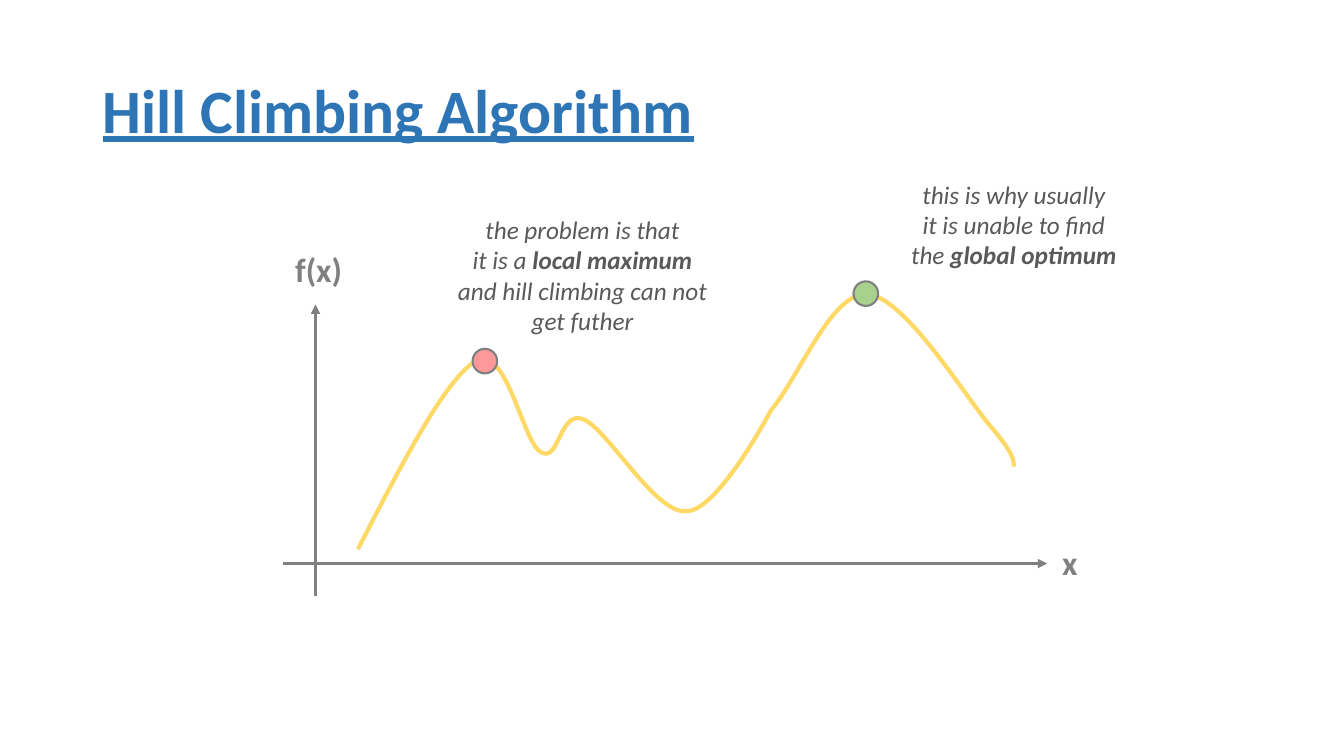
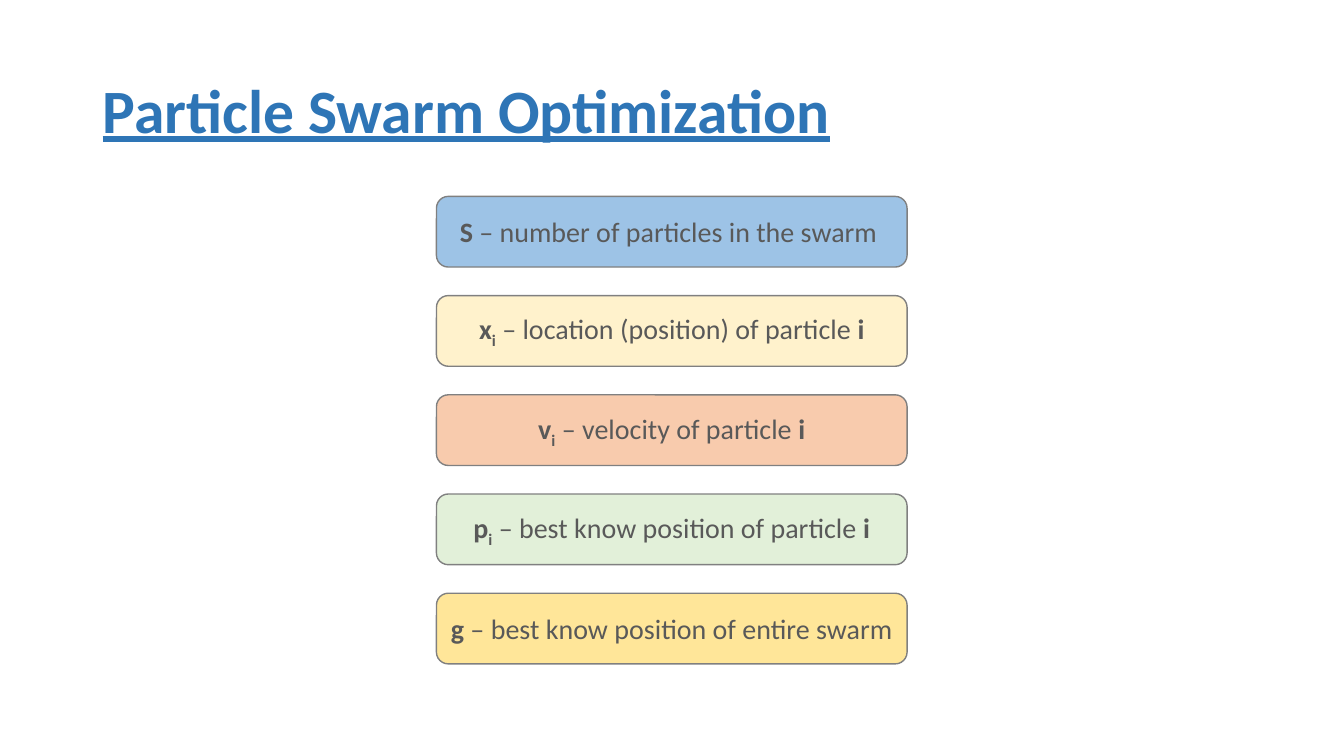
from lxml import etree
from pptx import Presentation
from pptx.dml.color import RGBColor
from pptx.enum import shapes, text
from pptx.oxml import ns
from pptx.util import Cm, Pt

BLUE, GREY, DARK, GOLD = "2E75B6", "808080", "595959", "FFD966"


def rgb(value):
    return RGBColor.from_string(value)


class Deck:
    """Holds the shared style and the slide being drawn."""

    font = "Calibri"

    def __init__(self):
        self.prs = Presentation()
        self.prs.slide_width, self.prs.slide_height = Cm(33.87), Cm(19.05)
        self.s = None

    def slide(self, title):
        self.s = self.prs.slides.add_slide(self.prs.slide_layouts[5])
        sp = self.s.shapes.title
        sp.left, sp.top, sp.width, sp.height = Cm(2.33), Cm(1.01), Cm(29.21), Cm(3.68)
        tf = sp.text_frame
        tf.auto_size = text.MSO_AUTO_SIZE.NONE
        tf.vertical_anchor = text.MSO_ANCHOR.MIDDLE
        tf.text = title
        p = tf.paragraphs[0]
        p.alignment, p.line_spacing = text.PP_ALIGN.LEFT, 0.9
        r = p.runs[0]
        self.style(r, 44, BLUE, bold=True)
        r.font.underline = True

    def style(self, r, size, color, bold=False, italic=False):
        font = r.font
        font.name, font.size, font.bold, font.italic = self.font, Pt(size), bold, italic
        font.color.rgb = rgb(color)

    def add_runs(self, p, marked, size, color, align, italic=False):
        """Fill a paragraph, with *bold* and ~subscript~ marks."""
        p.alignment = align
        for i, part in enumerate(marked.split("*")):
            for j, piece in enumerate(part.split("~")):
                if piece:
                    r = p.add_run()
                    r.text = piece
                    self.style(r, size, color, i % 2 == 1, italic)
                    if j % 2:
                        r.font._element.set("baseline", "-25000")

    def label(self, x, y, w, h, lines, size, color, align=text.PP_ALIGN.LEFT, italic=False):
        tf = self.s.shapes.add_textbox(Cm(x), Cm(y), Cm(w), Cm(h)).text_frame
        tf.word_wrap = False
        tf.auto_size = text.MSO_AUTO_SIZE.SHAPE_TO_FIT_TEXT
        for i, line in enumerate(lines):
            p = tf.add_paragraph() if i else tf.paragraphs[0]
            self.add_runs(p, line, size, color, align, italic)

    def note(self, x, y, w, h, *lines):
        self.label(x, y, w, h, lines, 18, DARK, text.PP_ALIGN.CENTER, italic=True)

    def shape(self, kind, x, y, w, h, fill, line_width):
        sp = self.s.shapes.add_shape(kind, Cm(x), Cm(y), Cm(w), Cm(h))
        sp.shadow.inherit = False
        sp.fill.solid()
        sp.fill.fore_color.rgb = rgb(fill)
        sp.line.color.rgb, sp.line.width = rgb(GREY), Pt(line_width)
        return sp

    def dot(self, cx, cy, fill, d=0.62):
        self.shape(shapes.MSO_SHAPE.OVAL, cx - d / 2, cy - d / 2, d, d, fill, 1.5)

    def card(self, x, y, w, h, fill, marked):
        sp = self.shape(shapes.MSO_SHAPE.ROUNDED_RECTANGLE, x, y, w, h, fill, 1)
        tf = sp.text_frame
        tf.word_wrap = True
        tf.vertical_anchor = text.MSO_ANCHOR.MIDDLE
        self.add_runs(tf.paragraphs[0], marked, 20, DARK, text.PP_ALIGN.CENTER)

    def arrow(self, x1, y1, x2, y2):
        ends = [Cm(v) for v in (x1, y1, x2, y2)]
        sp = self.s.shapes.add_connector(shapes.MSO_CONNECTOR.STRAIGHT, *ends)
        sp.line.color.rgb, sp.line.width = rgb(GREY), Pt(2.25)
        ln = sp._element.spPr.find(ns.qn("a:ln"))
        etree.SubElement(ln, ns.qn("a:tailEnd"), type="triangle")
        etree.SubElement(sp._element.spPr, ns.qn("a:effectLst"))

    def curve(self, points, color):
        """Draw cubic curves: a start point, then three points for each piece."""
        start, *rest = [(Cm(x), Cm(y)) for x, y in points]
        builder = self.s.shapes.build_freeform(*start)
        builder.add_line_segments(rest, close=False)
        sp = builder.convert_to_shape()
        sp.shadow.inherit = False
        sp.fill.background()
        sp.line.color.rgb, sp.line.width = rgb(color), Pt(3)
        outline = next(sp._element.iter(ns.qn("a:path")))
        steps = outline.findall(ns.qn("a:lnTo"))
        for i in range(0, len(steps), 3):
            bezier = etree.SubElement(outline, ns.qn("a:cubicBezTo"))
            for step in steps[i:i + 3]:
                bezier.append(step[0])
                outline.remove(step)


HILLS = [
    (9.02, 13.84),
    (10.13, 11.68), (11.25, 9.5), (12.01, 9.09),
    (12.78, 8.69), (13.18, 11.18), (13.64, 11.4),
    (14.1, 11.66), (14.1, 10.31), (14.71, 10.57),
    (15.32, 10.82), (16.54, 13), (17.32, 12.88),
    (18.11, 12.85), (19.43, 10.34), (19.43, 10.34),
    (20.19, 9.42), (20.96, 7.34), (21.87, 7.42),
    (22.78, 7.47), (24.31, 9.96), (24.92, 10.69),
    (25.53, 11.4), (25.55, 11.58), (25.55, 11.76),
]
SYMBOLS = [
    ("9DC3E6", "*S* – number of particles in the swarm "),
    ("FFF2CC", "*x~i~* – location (position) of particle *i*"),
    ("F8CBAD", "*v~i~* – velocity of particle *i*"),
    ("E2F0D9", "*p~i~* – best know position of particle *i*"),
    ("FFE699", "*g* – best know position of entire swarm"),
]


def main():
    deck = Deck()

    deck.slide("Hill Climbing Algorithm")
    deck.arrow(7.95, 15.02, 7.95, 7.67)
    deck.arrow(7.12, 14.2, 26.39, 14.2)
    deck.curve(HILLS, GOLD)
    deck.label(7.19, 6.15, 1.7, 1.27, ["*f(x)*"], 24, GREY)
    deck.label(26.52, 13.54, 0.91, 1.27, ["*x*"], 24, GREY)
    deck.dot(12.22, 9.1, "FF9999")
    deck.note(11.25, 5.28, 6.86, 3.33, "the problem is that", "it is a *local maximum*",
              "and hill climbing can not", "get futher")
    deck.note(22.68, 4.39, 5.74, 2.57, "this is why usually", "it is unable to find",
              "the *global optimum*")
    deck.dot(21.82, 7.4, "A9D18E")

    deck.slide("Particle Swarm Optimization")
    for i, (fill, marked) in enumerate(SYMBOLS):
        deck.card(11, 4.95 + 2.5 * i, 11.86, 1.78, fill, marked)

    deck.prs.save("out.pptx")


if __name__ == "__main__":
    main()
